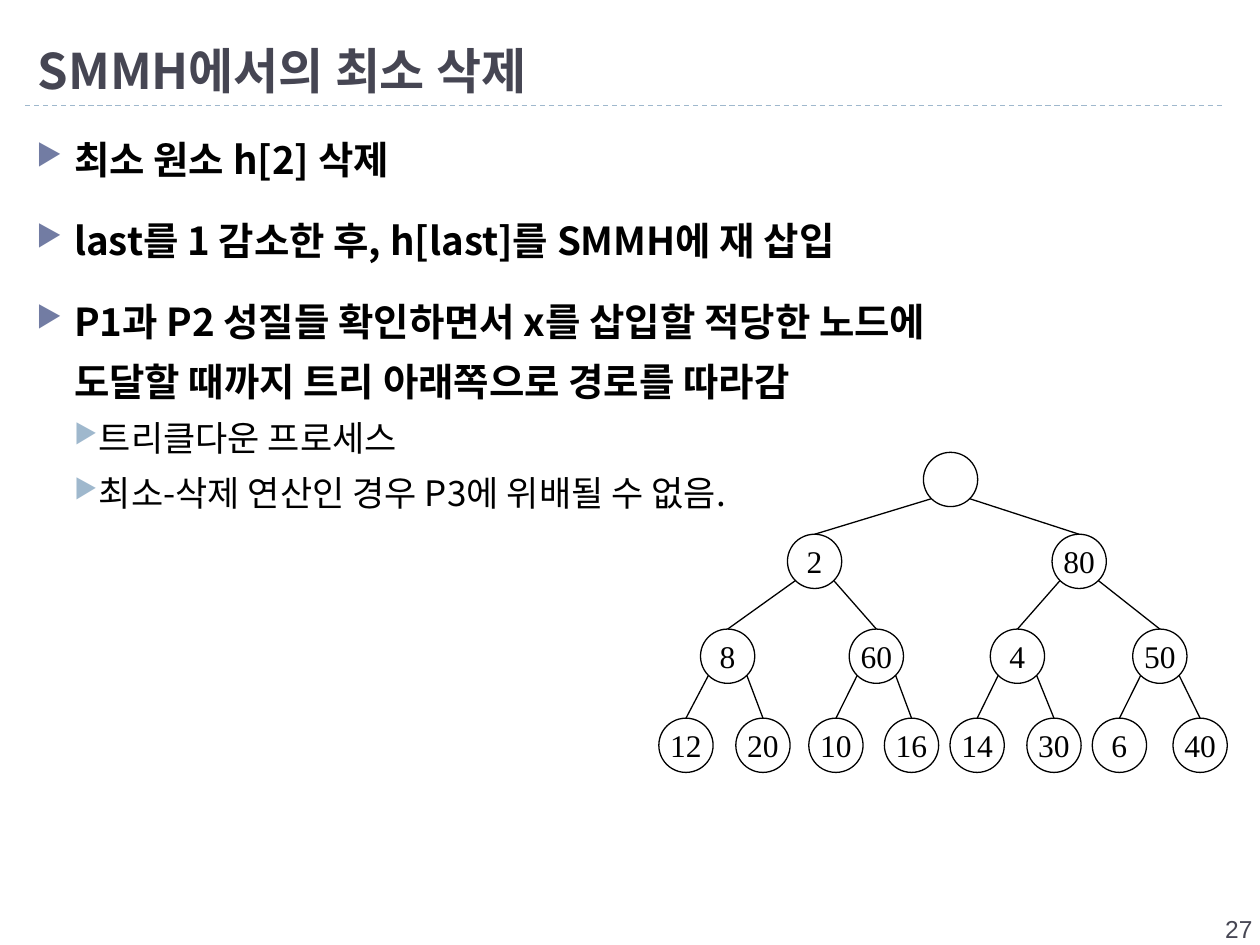
from pptx import Presentation
from pptx.dml.color import RGBColor
from pptx.enum.dml import MSO_LINE
from pptx.enum.shapes import MSO_CONNECTOR, MSO_SHAPE
from pptx.enum.text import MSO_ANCHOR, MSO_AUTO_SIZE, PP_ALIGN
from pptx.oxml.ns import qn
from pptx.util import Pt
from lxml.etree import SubElement

KOREAN = "Noto Sans CJK KR"
TITLE = "SMMH에서의 최소 삭제"
BULLETS = [
    (0, ["최소 원소 h[2] 삭제"]),
    (0, ["last를 1 감소한 후, h[last]를 SMMH에 재 삽입"]),
    (0, ["P1과 P2 성질들 확인하면서 x를 삽입할 적당한 노드에",
         "도달할 때까지 트리 아래쪽으로 경로를 따라감"]),
    (1, ["트리클다운 프로세스"]),
    (1, ["최소-삭제 연산인 경우 P3에 위배될 수 없음."]),
]
LEVELS = [
    dict(size=22, bold=True, before=12, margin=21.6, hang=21.6, color="727CA3"),
    dict(size=20, bold=False, before=0, margin=35.3, hang=13.7, color="9FB8CD"),
]
TREE = [
    (258.5, [("", 543.2)]),
    (305.3, [("2", 465.5), ("80", 616.7)]),
    (359.5, [("8", 415.8), ("60", 500.8), ("4", 581.4), ("50", 662.8)]),
    (410.4, [("12", 392), ("20", 436), ("10", 477.7), ("16", 520.9),
             ("14", 558.4), ("30", 602.3), ("6", 639.7), ("40", 685.8)]),
]
NODE = 31
EDGE = 11


def rgb(value):
    return RGBColor.from_string(value)


def add_run(p, text, size, font, color, bold=False):
    r = p.add_run()
    r.text = text
    r.font.size = Pt(size)
    r.font.name = font
    r.font.bold = bold
    r.font.color.rgb = rgb(color)
    if font == KOREAN:
        rPr = r._r.get_or_add_rPr()
        rPr.set("kern", "0")
        SubElement(rPr, qn("a:ea"), typeface=font)


def add_line(s, x1, y1, x2, y2, color="000000"):
    line = s.shapes.add_connector(
        MSO_CONNECTOR.STRAIGHT, Pt(x1), Pt(y1), Pt(x2), Pt(y2))
    line.line.color.rgb = rgb(color)
    line.line.width = Pt(0.75)
    SubElement(line._element.spPr, qn("a:effectLst"))
    return line


def add_node(s, text, center, top):
    sp = s.shapes.add_shape(
        MSO_SHAPE.OVAL, Pt(center - NODE / 2), Pt(top), Pt(NODE), Pt(NODE))
    sp.shadow.inherit = False
    sp.fill.background()
    sp.line.color.rgb = rgb("000000")
    sp.line.width = Pt(0.75)
    if text:
        tf = sp.text_frame
        tf.word_wrap = False
        tf.vertical_anchor = MSO_ANCHOR.MIDDLE
        p = tf.paragraphs[0]
        p.alignment = PP_ALIGN.CENTER
        add_run(p, text, 18, "Times New Roman", "000000")


def add_bullet(p, level, first):
    style = LEVELS[level]
    p.level = level
    p.line_spacing = 1.3
    p.space_before = Pt(0 if first else style["before"])
    pPr = p._p.get_or_add_pPr()
    pPr.set("marL", str(Pt(style["margin"])))
    pPr.set("indent", str(-Pt(style["hang"])))
    SubElement(SubElement(pPr, qn("a:buClr")), qn("a:srgbClr"), val=style["color"])
    SubElement(pPr, qn("a:buSzPct"), val="76000")
    SubElement(pPr, qn("a:buFont"), typeface="OpenSymbol")
    SubElement(pPr, qn("a:buChar"), char="▶")


def add_title(s):
    sp = s.shapes.title
    sp.left, sp.top, sp.width, sp.height = Pt(14.4), Pt(12.2), Pt(692), Pt(48.2)
    tf = sp.text_frame
    tf.auto_size = MSO_AUTO_SIZE.NONE
    tf.vertical_anchor = MSO_ANCHOR.BOTTOM
    p = tf.paragraphs[0]
    p.alignment = PP_ALIGN.LEFT
    add_run(p, TITLE, 28, KOREAN, "464653", True)
    rule = add_line(s, 14.4, 60.4, 700, 60.4, "9FB8CD")
    rule.line.dash_style = MSO_LINE.DASH


def add_body(s):
    tf = s.shapes.add_textbox(Pt(13.7), Pt(66.2), Pt(692), Pt(459.4)).text_frame
    tf.word_wrap = True
    for i, (level, lines) in enumerate(BULLETS):
        p = tf.add_paragraph() if i else tf.paragraphs[0]
        add_bullet(p, level, i == 0)
        style = LEVELS[level]
        for j, text in enumerate(lines):
            if j:
                p.add_line_break()
            add_run(p, text, style["size"], KOREAN, "000000", style["bold"])


def add_tree(s):
    for depth, (top, nodes) in enumerate(TREE):
        for i, (text, center) in enumerate(nodes):
            if depth:
                parent_top, parents = TREE[depth - 1]
                side = EDGE if i % 2 else -EDGE
                add_line(s, parents[i // 2][1] + side,
                         parent_top + NODE / 2 + EDGE, center, top)
            add_node(s, text, center, top)


def add_page_number(s):
    tf = s.shapes.add_textbox(Pt(566.6), Pt(518.6), Pt(156.2), Pt(28.8)).text_frame
    tf.word_wrap = True
    p = tf.paragraphs[0]
    p.alignment = PP_ALIGN.RIGHT
    add_run(p, "27", 14, "Arial", "464653")


def main():
    prs = Presentation()
    prs.slide_width, prs.slide_height = Pt(720), Pt(540)
    s = prs.slides.add_slide(prs.slide_layouts[5])
    add_title(s)
    add_body(s)
    add_tree(s)
    add_page_number(s)
    prs.save("out.pptx")


if __name__ == "__main__":
    main()
